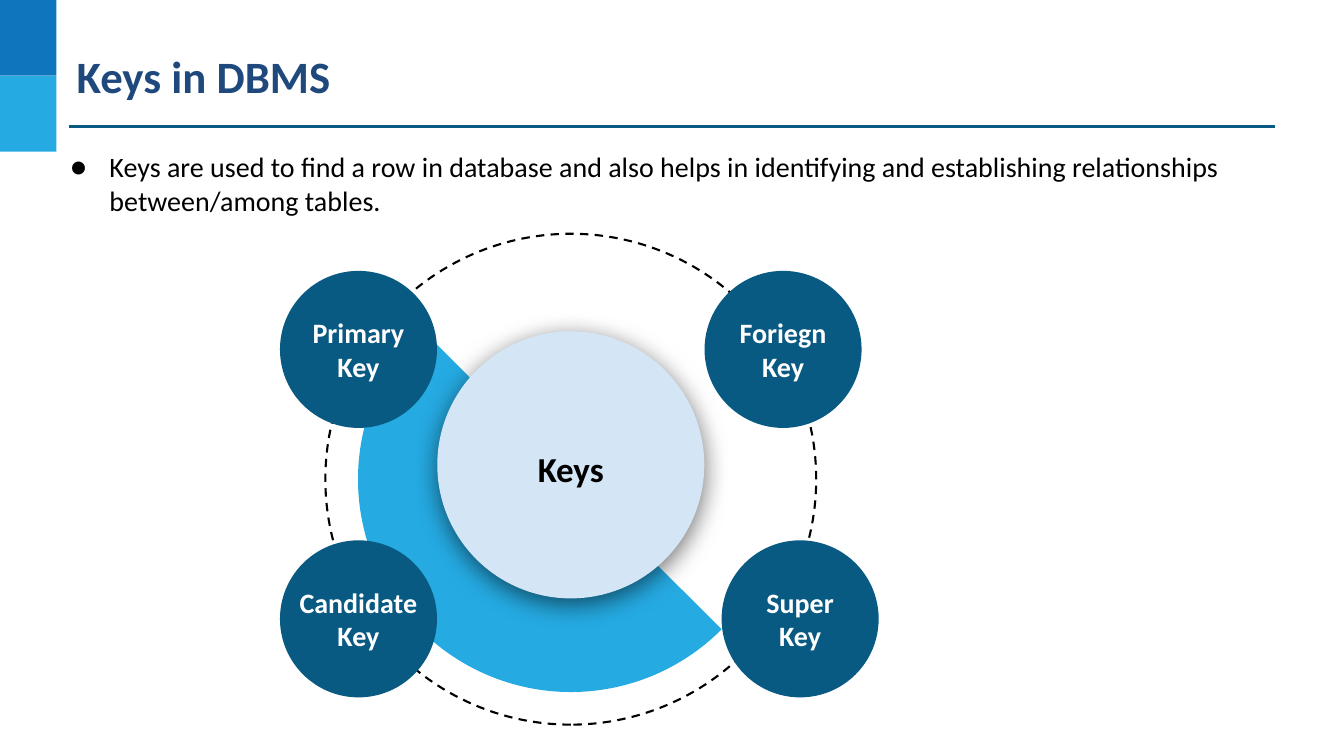
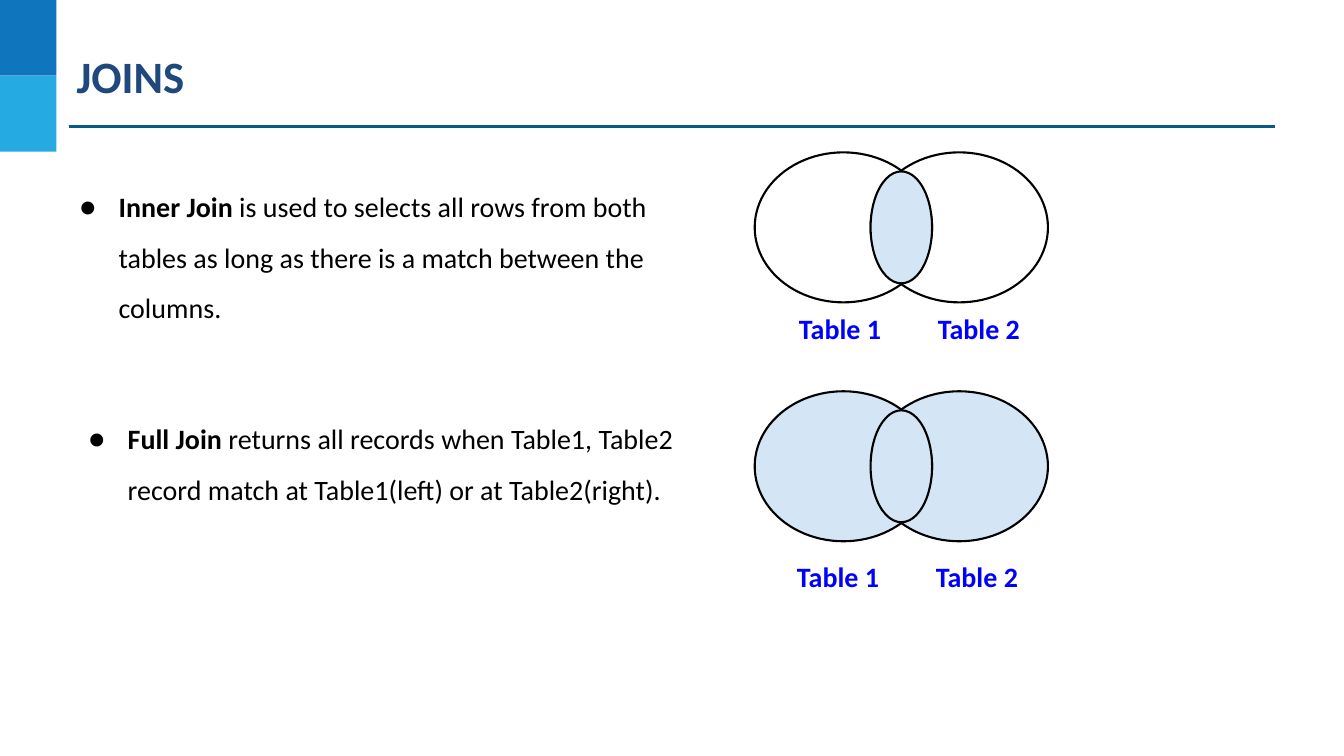
import pptx
import pptx.dml.color
import pptx.enum.dml
import pptx.enum.shapes
import pptx.enum.text
import pptx.oxml
import pptx.oxml.ns
import pptx.util
from lxml import etree

Cm, Pt = pptx.util.Cm, pptx.util.Pt
SHAPE = pptx.enum.shapes.MSO_SHAPE
ANCHOR = pptx.enum.text.MSO_ANCHOR
ALIGN = pptx.enum.text.PP_ALIGN
NO_FIT = pptx.enum.text.MSO_AUTO_SIZE.NONE

FONT = "Calibri"
NAVY, BLUE, SKY, TEAL, PALE = "1F497D", "0F75BD", "25AAE2", "095A82", "D4E5F5"
BLACK, WHITE, LABEL = "000000", "FFFFFF", "0000FF"

TITLE = {"size": Pt(32), "bold": True}
BODY = {"size": Pt(20), "bold": False}
STRONG = {"size": Pt(20), "bold": True}
HUB = {"size": Pt(25), "bold": True}


def rgb(value):
    return pptx.dml.color.RGBColor.from_string(value)


def set_values(obj, values):
    for name, value in values.items():
        setattr(obj, name, value)


def set_frame(tf, inset, **values):
    sides = ("margin_left", "margin_top", "margin_right", "margin_bottom")
    set_values(tf, {side: Cm(inset) for side in sides})
    set_values(tf, {"auto_size": NO_FIT, "word_wrap": True, **values})


def write(p, text, style, color):
    p.text = text if not p.runs else p.text
    r = p.runs[-1]
    for r in p.runs:
        set_values(r.font, {"name": FONT, **style})
        r.font.color.rgb = rgb(color)


def add_run(p, text, style, color):
    r = p.add_run()
    r.text = text
    set_values(r.font, {"name": FONT, **style})
    r.font.color.rgb = rgb(color)


def add_lines(p, text, style, color):
    """Write text into a paragraph, with a line break at each newline."""
    for i, line in enumerate(text.split("\n")):
        if i:
            p.add_line_break()
        add_run(p, line, style, color)


def add_shape(s, kind, box, fill=None, line=None, width=1.5):
    sp = s.shapes.add_shape(kind, *(Cm(v) for v in box))
    sp.shadow.inherit = False
    if fill:
        sp.fill.solid()
        sp.fill.fore_color.rgb = rgb(fill)
    else:
        sp.fill.background()
    if line:
        sp.line.color.rgb = rgb(line)
        sp.line.width = Pt(width)
    else:
        sp.line.fill.background()
    return sp


def add_disc(s, cx, cy, size, **look):
    return add_shape(s, SHAPE.OVAL, (cx - size / 2, cy - size / 2, size, size), **look)


def set_disc_text(sp, text, style, color, spacing=1.0):
    set_frame(sp.text_frame, 0, word_wrap=False, vertical_anchor=ANCHOR.MIDDLE)
    p = sp.text_frame.paragraphs[0]
    set_values(p, {"alignment": ALIGN.CENTER, "line_spacing": spacing})
    add_lines(p, text, style, color)


def add_soft_shadow(sp):
    effects = sp.element.spPr.find(pptx.oxml.ns.qn("a:effectLst"))
    effects.append(pptx.oxml.parse_xml(
        f'<a:outerShdw {pptx.oxml.ns.nsdecls("a")} blurRad="{Pt(18)}" dist="{Pt(4)}" '
        f'dir="5400000" algn="ctr" rotWithShape="0"><a:srgbClr val="{BLACK}">'
        '<a:alpha val="55000"/></a:srgbClr></a:outerShdw>'))


def add_bullet(s, box, parts, spacing=1.0):
    """Add a one-bullet text box; parts are (text, style) pairs."""
    tf = s.shapes.add_textbox(*(Cm(v) for v in box)).text_frame
    set_frame(tf, 0.25)
    p = tf.paragraphs[0]
    p.line_spacing = spacing
    pPr = p._p.get_or_add_pPr()
    pPr.set("marL", str(Cm(1.27)))
    pPr.set("indent", str(-Cm(0.99)))
    qn = pptx.oxml.ns.qn
    color = etree.SubElement(pPr, qn("a:buClr"))
    etree.SubElement(color, qn("a:srgbClr"), val=BLACK)
    etree.SubElement(pPr, qn("a:buFont"), typeface=FONT)
    etree.SubElement(pPr, qn("a:buChar"), char="●")
    for text, style in parts:
        add_run(p, text, style, BLACK)


def add_slide(prs, title):
    """Add a title-only slide with the corner bands and the title rule."""
    s = prs.slides.add_slide(prs.slide_layouts[5])
    for i, color in enumerate((BLUE, SKY)):
        add_shape(s, SHAPE.RECTANGLE, (0, i * 1.91, 1.42, 1.91), fill=color)
    rule = s.shapes.add_connector(pptx.enum.shapes.MSO_CONNECTOR.STRAIGHT,
                                  Cm(1.73), Cm(3.18), Cm(32.13), Cm(3.18))
    rule.line.color.rgb = rgb(TEAL)
    rule.line.width = Pt(2.25)
    etree.SubElement(rule.element.spPr, pptx.oxml.ns.qn("a:effectLst"))

    sp = s.shapes.title
    set_values(sp, {"left": Cm(1.88), "top": Cm(1.17),
                    "width": Cm(30.4), "height": Cm(1.47)})
    set_frame(sp.text_frame, 0.05, vertical_anchor=ANCHOR.TOP)
    p = sp.text_frame.paragraphs[0]
    p.alignment = ALIGN.LEFT
    add_run(p, title, TITLE, NAVY)
    return s


def add_key_wheel(s, left, top, size):
    cx, cy = left + size / 2, top + size / 2
    ring = add_disc(s, cx, cy, size, line=BLACK)
    ring.line.dash_style = pptx.enum.dml.MSO_LINE.DASH
    ring.rotation = 270

    pie_size = size * 0.867
    pie = add_shape(s, SHAPE.PIE, (cx - pie_size / 2, cy - pie_size / 2,
                                   pie_size, pie_size), fill=SKY)
    for i, degrees in enumerate((44.83, 225.18)):
        pie.adjustments[i] = degrees * 0.6  # 60000 units a degree, over 100000

    hub = add_disc(s, cx, cy - 0.36, size * 0.544, fill=PALE)
    add_soft_shadow(hub)
    set_disc_text(hub, "Keys", HUB, BLACK, spacing=1.15)

    keys = (("Primary\nKey", -5.35, -3.27), ("Foriegn\nKey", 5.35, -3.27),
            ("Super\nKey", 5.78, 3.52), ("Candidate\nKey", -5.35, 3.52))
    for text, dx, dy in keys:
        disc = add_disc(s, cx + dx, cy + dy, size * 0.32, fill=TEAL)
        set_disc_text(disc, text, STRONG, WHITE)


def add_venn(s, left, top, label_top, label_shift=0.0, fill=None):
    """Draw two overlapping tables; label_top is measured from top."""
    width, height, step = 4.47, 3.78, 2.92
    lens_w, lens_h = width - step, 2.82
    for x in (left + step, left):
        add_shape(s, SHAPE.OVAL, (x, top, width, height), fill=fill, line=BLACK)
    add_shape(s, SHAPE.OVAL, (left + step, top + (height - lens_h) / 2, lens_w, lens_h),
              fill=PALE, line=BLACK)
    for i, text in enumerate(("Table 1", "Table 2")):
        x = left + 0.65 + label_shift + i * 3.5
        tf = s.shapes.add_textbox(Cm(x), Cm(top + label_top), Cm(3), Cm(1.37)).text_frame
        set_frame(tf, 0.25)
        p = tf.paragraphs[0]
        p.alignment = ALIGN.CENTER
        add_run(p, text, STRONG, LABEL)


def build_keys(prs):
    s = add_slide(prs, "Keys in DBMS")
    add_bullet(s, (1.24, 3.53, 30.4, 2.24), [
        ("Keys are used to find a row in database and also helps in identifying "
         "and establishing relationships between/among tables.", BODY)])
    add_key_wheel(s, 8.2, 5.89, 12.37)


def build_joins(prs):
    s = add_slide(prs, "JOINS")
    add_bullet(s, (1.47, 4.11, 16.1, 3.94), [
        ("Inner Join", STRONG),
        (" is used to selects all rows from both tables as long as there is "
         "a match between the columns.", BODY)], spacing=1.5)
    add_venn(s, 19.02, 3.84, label_top=3.75)
    add_bullet(s, (1.7, 9.96, 15.9, 2.64), [
        ("Full Join", STRONG),
        (" returns all records when Table1, Table2 record match at Table1(left) "
         "or at Table2(right).", BODY)], spacing=1.5)
    add_venn(s, 19.02, 9.86, label_top=3.98, label_shift=-0.05, fill=PALE)


def main():
    prs = pptx.Presentation()
    prs.slide_width, prs.slide_height = Cm(33.87), Cm(19.05)
    build_keys(prs)
    build_joins(prs)
    prs.save("out.pptx")


if __name__ == "__main__":
    main()
